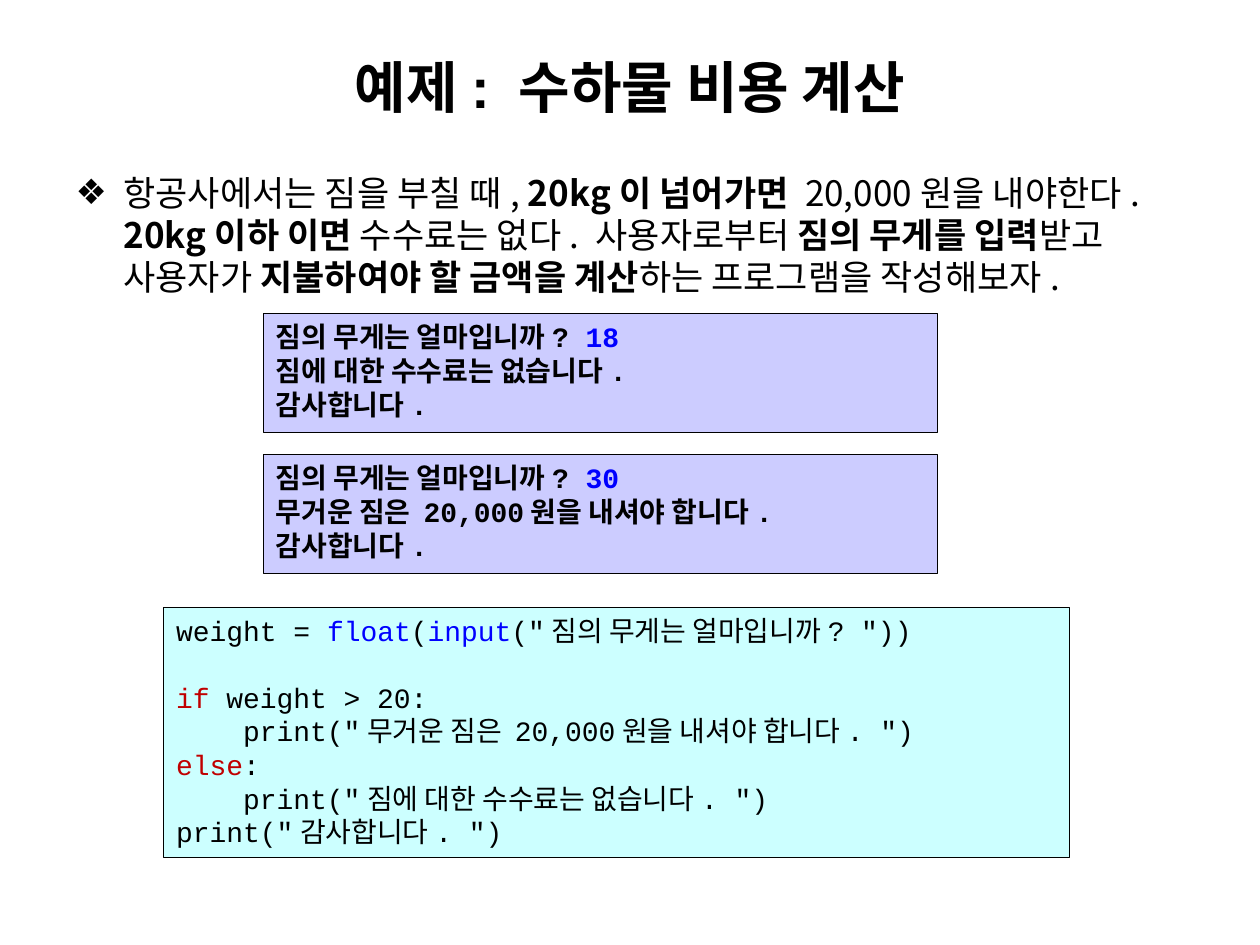
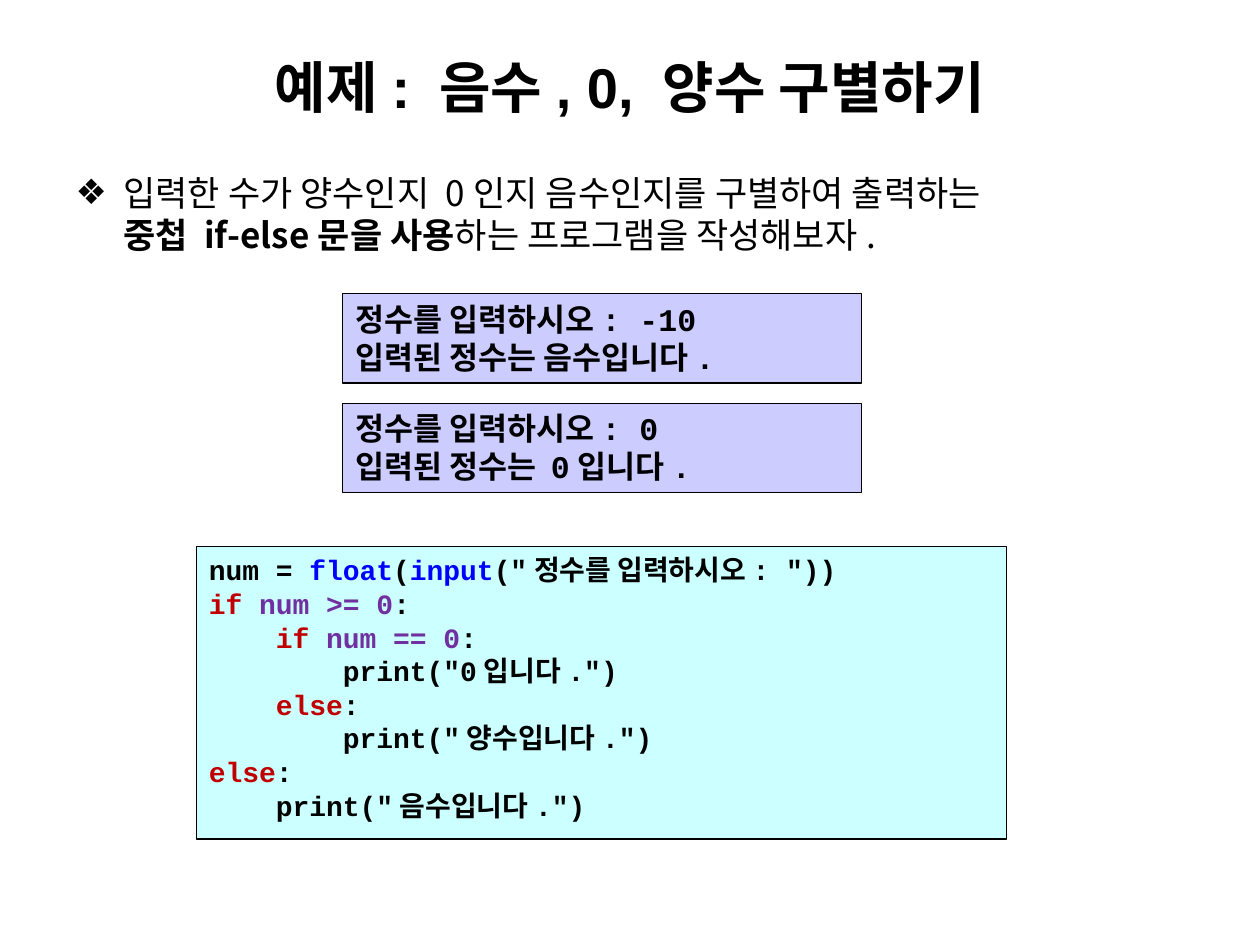
"""Build two slides of Python conditional examples: baggage fee and sign of a number."""
from dataclasses import dataclass

from lxml.etree import SubElement
from pptx import Presentation
from pptx.dml.color import RGBColor
from pptx.enum.shapes import MSO_SHAPE
from pptx.enum.text import MSO_ANCHOR, MSO_AUTO_SIZE, PP_ALIGN
from pptx.oxml.ns import qn
from pptx.util import Inches, Pt


@dataclass(frozen=True)
class Theme:
    """Colours, fonts and type sizes shared by the slides."""
    black: str = "000000"
    builtin: str = "0000FF"
    keyword: str = "C00000"
    condition: str = "7030A0"
    console: str = "CCCCFF"
    code: str = "CCFFFF"
    head_font: str = "Arial"
    body_font: str = "Noto Sans CJK KR"
    mono_font: str = "Courier New"
    title_size: int = 32
    body_size: int = 20
    code_size: int = 16
    blank_line: int = 19


T = Theme()
STRONG = "strong"

SLIDES = [
    {
        "title": "예제: 수하물 비용 계산",
        "body": [
            "항공사에서는 짐을 부칠 때, ", ("20kg이 넘어가면 ", STRONG),
            "20,000원을 내야한다. ", ("20kg이하 이면 ", STRONG),
            "수수료는 없다. 사용자로부터 ", ("짐의 무게를 입력", STRONG),
            "받고 사용자가 ", ("지불하여야 할 금액을 계산", STRONG),
            "하는 프로그램을 작성해보자.",
        ],
        "console_at": (20.9, 33.2, 53.5, 12.6),
        "console_step": 14.93,
        "console_size": 16,
        "consoles": [
            [["짐의 무게는 얼마입니까? ", ("18", T.builtin)],
             ["짐에 대한 수수료는 없습니다."],
             ["감사합니다."]],
            [["짐의 무게는 얼마입니까? ", ("30", T.builtin)],
             ["무거운 짐은 20,000원을 내셔야 합니다."],
             ["감사합니다."]],
        ],
        "code_at": (13, 64.27, 71.9, 26.5),
        "code_bold": False,
        "code": [
            ["weight = ", ("float", T.builtin), "(", ("input", T.builtin),
             '("짐의 무게는 얼마입니까? "))'],
            [],
            [("if", T.keyword), " weight > 20:"],
            ['    print("무거운 짐은 20,000원을 내셔야 합니다. ")'],
            [("else", T.keyword), ":"],
            ['    print("짐에 대한 수수료는 없습니다. ")'],
            ['print("감사합니다. ")'],
        ],
    },
    {
        "title": "예제: 음수, 0, 양수 구별하기",
        "body": [
            "입력한 수가 양수인지 0인지 음수인지를 구별하여 출력하는", "\n",
            ("중첩 if-else문을 사용", STRONG), "하는 프로그램을 작성해보자.",
        ],
        "console_at": (27.2, 31.07, 41.2, 9.47),
        "console_step": 11.6,
        "console_size": 18,
        "consoles": [
            [["정수를 입력하시오: -10"], ["입력된 정수는 음수입니다."]],
            [["정수를 입력하시오: 0"], ["입력된 정수는 0입니다."]],
        ],
        "code_at": (15.6, 57.87, 64.3, 30.93),
        "code_bold": True,
        "code": [
            ["num = ", ("float", T.builtin), "(", ("input", T.builtin),
             '("정수를 입력하시오: "))'],
            [("if ", T.keyword), ("num >= 0", T.condition), ":"],
            ["    ", ("if ", T.keyword), ("num == 0", T.condition), ":"],
            ['        print("0입니다.")'],
            ["    ", ("else", T.keyword), ":"],
            ['        print("양수입니다.")'],
            [("else", T.keyword), ":"],
            ['    print("음수입니다.")'],
        ],
    },
]

prs = Presentation()
prs.slide_width, prs.slide_height = Inches(10), Inches(7.5)
COL, ROW = prs.slide_width / 100, prs.slide_height / 100


def write(p, parts, font, size, bold=False):
    """Fill a paragraph with runs; a part is text or a (text, style) pair."""
    for part in parts:
        if part == "\n":
            p.add_line_break()
            continue
        text, style = (part, T.black) if isinstance(part, str) else part
        r = p.add_run()
        r.text = text
        r.font.name, r.font.size = font, Pt(size)
        r.font.bold = bold or style == STRONG
        r.font.color.rgb = RGBColor.from_string(T.black if style == STRONG else style)
        SubElement(r.font._element, qn("a:ea"), typeface=T.body_font)


def place(sp, left, top, width, height):
    """Position a shape in columns and rows of the slide grid."""
    sp.left, sp.width = round(left * COL), round(width * COL)
    sp.top, sp.height = round(top * ROW), round(height * ROW)


for data in SLIDES:
    s = prs.slides.add_slide(prs.slide_layouts[1])

    place(s.shapes.title, 5, 4, 90, 10.27)
    tf = s.shapes.title.text_frame
    tf.auto_size, tf.vertical_anchor = MSO_AUTO_SIZE.NONE, MSO_ANCHOR.MIDDLE
    p = tf.paragraphs[0]
    p.alignment = PP_ALIGN.CENTER
    write(p, [data["title"]], T.head_font, T.title_size, bold=True)

    body = s.placeholders[1]
    place(body, 5, 17.47, 90, 77.73)
    body.text_frame.auto_size = MSO_AUTO_SIZE.NONE
    p = body.text_frame.paragraphs[0]
    pPr = p._p.get_or_add_pPr()
    pPr.set("marL", str(Inches(0.38)))
    pPr.set("indent", str(-Inches(0.38)))
    SubElement(pPr, qn("a:buChar"), char="❖")
    p.space_before = Pt(0)
    write(p, data["body"], T.body_font, T.body_size)

    left, top, width, height = data["console_at"]
    boxes = [
        ((left, top + i * data["console_step"], width, height),
         lines, T.console, data["console_size"], True)
        for i, lines in enumerate(data["consoles"])
    ]
    boxes.append((data["code_at"], data["code"], T.code, T.code_size, data["code_bold"]))

    for at, lines, fill, size, bold in boxes:
        sp = s.shapes.add_shape(MSO_SHAPE.RECTANGLE, 0, 0, 0, 0)
        place(sp, *at)
        sp.shadow.inherit = False
        sp.fill.solid()
        sp.fill.fore_color.rgb = RGBColor.from_string(fill)
        sp.line.color.rgb = RGBColor.from_string(T.black)
        sp.line.width = Pt(0.75)
        tf = sp.text_frame
        tf.word_wrap, tf.vertical_anchor = True, MSO_ANCHOR.TOP
        p, gap = tf.paragraphs[0], 0
        for i, parts in enumerate(lines):
            if not parts:
                gap = T.blank_line
                continue
            p = tf.add_paragraph() if i else p
            p.alignment, p.space_before = PP_ALIGN.LEFT, Pt(gap)
            write(p, parts, T.mono_font, size, bold)
            gap = 0

prs.save("out.pptx")
